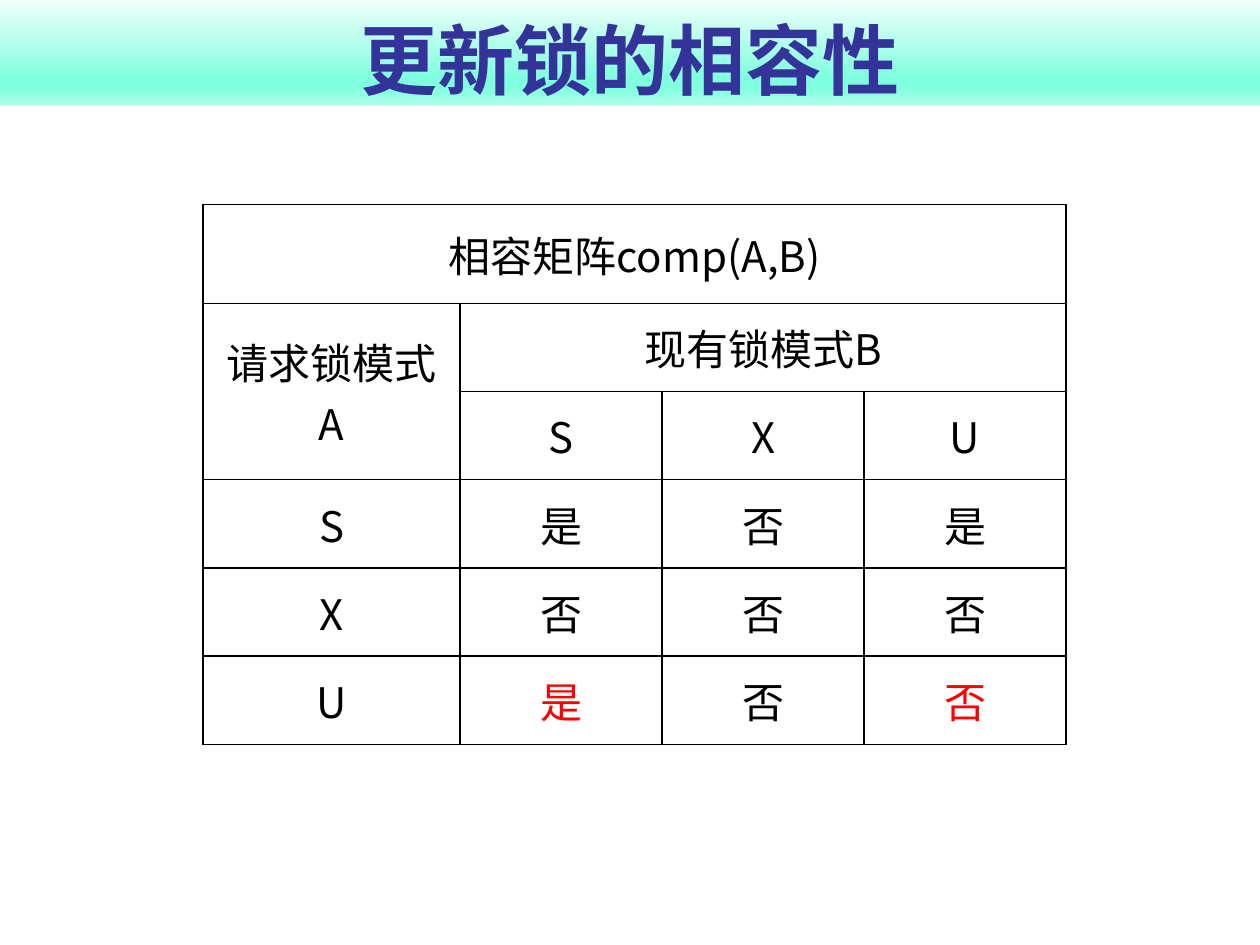
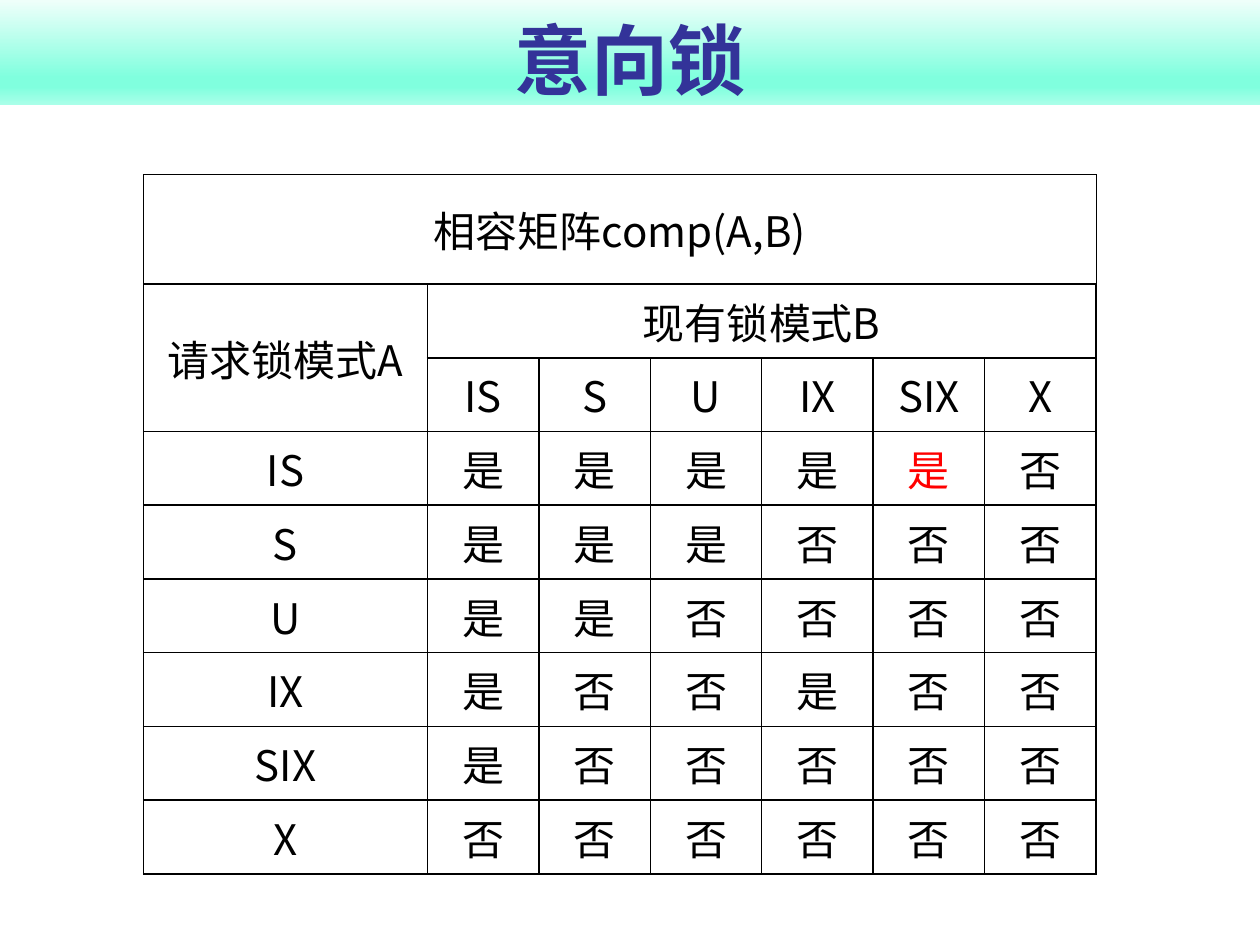
from dataclasses import dataclass

import lxml.etree
import pptx
import pptx.dml.color
import pptx.enum.shapes
import pptx.enum.text
import pptx.oxml.ns
import pptx.util

Pt = pptx.util.Pt
qn = pptx.oxml.ns.qn
WIDTH, HEIGHT = 720, 540

# Shared style
BLACK, RED, TITLE_BLUE = "000000", "FF0000", "333399"
TITLE_FONT, CJK_FONT = "Cabin", "Noto Sans CJK SC"
TITLE_SIZE, CELL_SIZE = 44, 24
BAND_TOP, BAND_HEIGHT = -0.5, 60.5
BAND_STOPS = ((0, "F1FFFB"), (74, "80FFDE"), (83, "80FFDE"), (100, "AAFFE9"))


@dataclass(frozen=True)
class LockMatrix:
    title: str
    left: float
    top: float
    mode_width: float
    answer_width: float
    caption_height: float
    row_height: float
    modes: tuple[str, ...]
    answers: tuple[str, ...]  # one string per requested mode
    highlights: frozenset[tuple[str, str]]  # (requested, existing)


MATRICES = (
    LockMatrix("更新锁的相容性", 116, 116.75, 147, 115.4, 56.6, 50.4,
               ("S", "X", "U"), ("是否是", "否否否", "是否否"),
               frozenset({("U", "S"), ("U", "U")})),
    LockMatrix("意向锁", 82, 99.75, 162.2, 63.7, 62.6, 42.15,
               ("IS", "S", "U", "IX", "SIX", "X"),
               ("是是是是是否", "是是是否否否", "是是否否否否",
                "是否否是否否", "是否否否否否", "否否否否否否"),
               frozenset({("IS", "SIX")})),
)


def rgb(color: str) -> pptx.dml.color.RGBColor:
    return pptx.dml.color.RGBColor.from_string(color)


def write(tf, text: str, font: str, size: float, color: str, bold: bool = False) -> None:
    """Set one centred paragraph, with the CJK font for East Asian characters."""
    tf.text = text
    p = tf.paragraphs[0]
    p.alignment = pptx.enum.text.PP_ALIGN.CENTER
    r = p.runs[0]
    r.font.name, r.font.size, r.font.bold = font, Pt(size), bold
    r.font.color.rgb = rgb(color)
    ea = lxml.etree.SubElement(r.font._element, qn("a:ea"))
    ea.set("typeface", CJK_FONT)


def add_title_band(s, title: str) -> None:
    sp = s.shapes.add_shape(pptx.enum.shapes.MSO_SHAPE.RECTANGLE,
                            0, Pt(BAND_TOP), Pt(WIDTH), Pt(BAND_HEIGHT))
    sp.shadow.inherit = False
    sp.line.fill.background()
    # Vertical gradient with four stops
    sp.fill.gradient()
    sp.fill.gradient_angle = 270
    stops = sp._element.spPr.find(qn("a:gradFill")).find(qn("a:gsLst"))
    for stop in list(stops):
        stops.remove(stop)
    for percent, color in BAND_STOPS:
        stop = lxml.etree.SubElement(stops, qn("a:gs"), pos=str(percent * 1000))
        lxml.etree.SubElement(stop, qn("a:srgbClr"), val=color)
    tf = sp.text_frame
    tf.word_wrap = True
    tf.margin_top = tf.margin_bottom = 0
    tf.vertical_anchor = pptx.enum.text.MSO_ANCHOR.BOTTOM
    write(tf, title, TITLE_FONT, TITLE_SIZE, TITLE_BLUE, bold=True)


def set_borders(cell, caption: bool) -> None:
    tc_pr = cell._tc.get_or_add_tcPr()
    for side in "LRTB":
        width = 0.75 if caption and side != "B" else 1
        ln = lxml.etree.SubElement(tc_pr, qn(f"a:ln{side}"), w=str(Pt(width)))
        fill = lxml.etree.SubElement(ln, qn("a:solidFill"))
        lxml.etree.SubElement(fill, qn("a:srgbClr"), val=BLACK)


def add_matrix(s, m: LockMatrix) -> None:
    n = len(m.modes)
    widths = [m.mode_width] + [m.answer_width] * n
    heights = [m.caption_height] + [m.row_height] * (n + 2)
    table = s.shapes.add_table(n + 3, n + 1, Pt(m.left), Pt(m.top),
                               Pt(sum(widths)), Pt(sum(heights))).table
    table.first_row = table.horz_banding = False
    for column, width in zip(table.columns, widths):
        column.width = Pt(width)
    for row, height in zip(table.rows, heights):
        row.height = Pt(height)

    for i in range(n + 3):
        for j in range(n + 1):
            cell = table.cell(i, j)
            set_borders(cell, caption=i == 0)
            cell.fill.background()
            cell.vertical_anchor = pptx.enum.text.MSO_ANCHOR.MIDDLE

    def put(i: int, j: int, text: str, color: str = BLACK) -> None:
        write(table.cell(i, j).text_frame, text, CJK_FONT, CELL_SIZE, color)

    # Merged headings
    for i, j, last_i, last_j, text in ((0, 0, 0, n, "相容矩阵comp(A,B)"),
                                       (1, 0, 2, 0, "请求锁模式A"),
                                       (1, 1, 1, n, "现有锁模式B")):
        table.cell(i, j).merge(table.cell(last_i, last_j))
        put(i, j, text)

    # Lock modes and their compatibility
    for k, (requested, answers) in enumerate(zip(m.modes, m.answers)):
        put(2, k + 1, requested)
        put(k + 3, 0, requested)
        for j, (existing, answer) in enumerate(zip(m.modes, answers), start=1):
            put(k + 3, j, answer, RED if (requested, existing) in m.highlights else BLACK)


def main() -> None:
    prs = pptx.Presentation()
    prs.slide_width, prs.slide_height = Pt(WIDTH), Pt(HEIGHT)
    for m in MATRICES:
        s = prs.slides.add_slide(prs.slide_layouts[6])
        add_title_band(s, m.title)
        add_matrix(s, m)
    prs.save("out.pptx")


if __name__ == "__main__":
    main()
